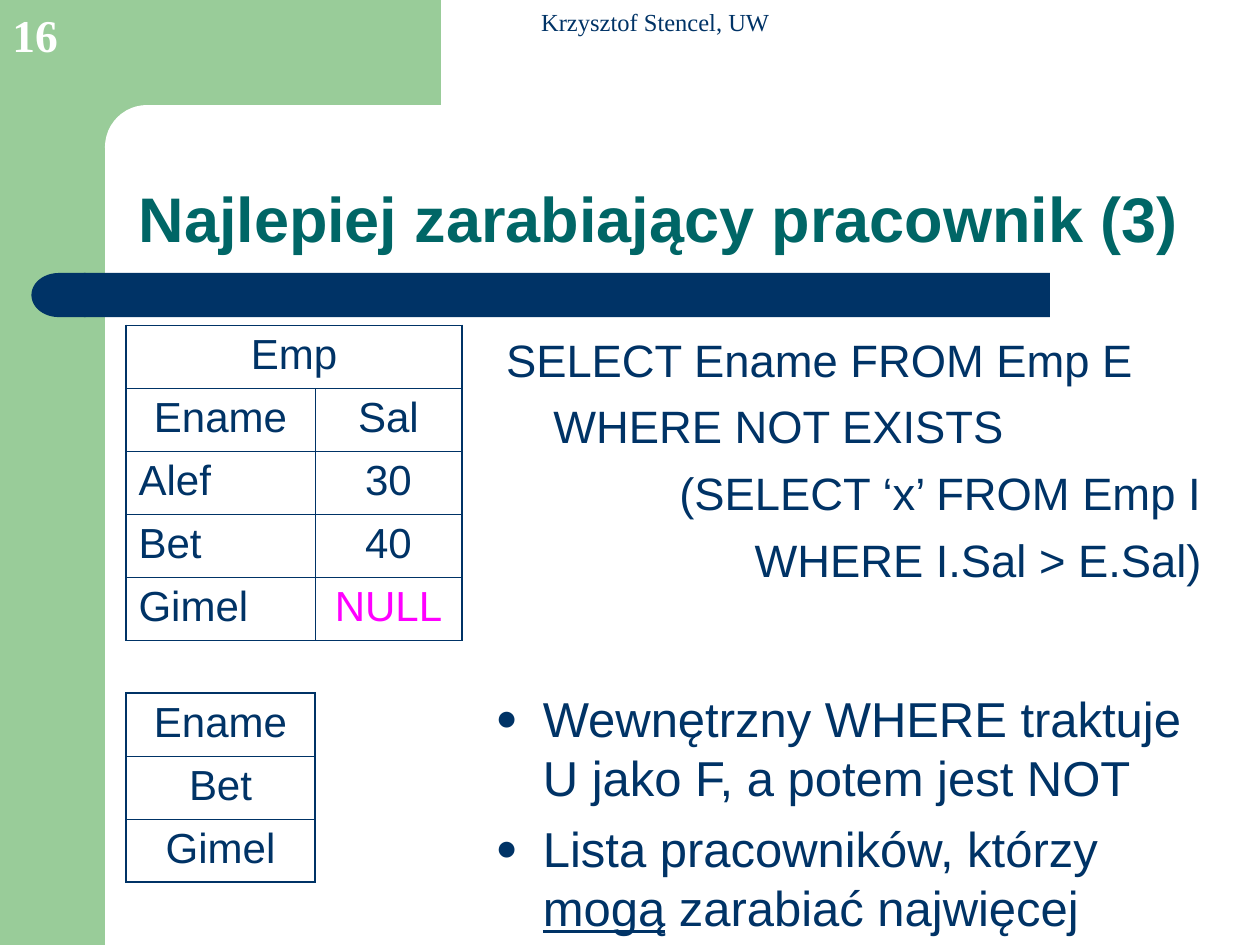
from lxml import etree
from pptx import Presentation
from pptx.dml.color import RGBColor
from pptx.enum.shapes import MSO_SHAPE
from pptx.enum.text import MSO_ANCHOR, MSO_AUTO_SIZE, PP_ALIGN
from pptx.oxml.ns import qn
from pptx.util import Pt

RECT = MSO_SHAPE.RECTANGLE
ROUNDED = MSO_SHAPE.ROUNDED_RECTANGLE
DELAY = MSO_SHAPE.FLOWCHART_DELAY
LEFT, CENTER = PP_ALIGN.LEFT, PP_ALIGN.CENTER
TOP, BOTTOM = MSO_ANCHOR.TOP, MSO_ANCHOR.BOTTOM
NO_AUTOFIT = MSO_AUTO_SIZE.NONE

COLORS = {
    "green": "99CC99",
    "white": "FFFFFF",
    "navy": "003366",
    "teal": "006666",
    "magenta": "FF00FF",
}
SANS, SERIF = "Arial", "Times New Roman"
OUTER_LINE, INNER_LINE = 1.08, 0.45
ROW_HEIGHT = 36
HANGING = 27


def rgb(name):
    return RGBColor.from_string(COLORS[name])


def format_runs(paragraph, size, color="navy", font=SANS, bold=False):
    for run in paragraph.runs:
        run.font.name = font
        run.font.size = Pt(size)
        run.font.bold = bold
        run.font.color.rgb = rgb(color)


def place(shape, left, top, width, height, anchor=TOP):
    shape.left, shape.top = Pt(left), Pt(top)
    shape.width, shape.height = Pt(width), Pt(height)
    frame = shape.text_frame
    frame.word_wrap = True
    frame.auto_size = NO_AUTOFIT
    frame.vertical_anchor = anchor
    return frame


def set_indent(paragraph, left, first=0):
    props = paragraph._p.get_or_add_pPr()
    props.set("marL", str(Pt(left)))
    props.set("indent", str(Pt(first)))
    return props


def add_block(slide, kind, color, left, top, width, height):
    block = slide.shapes.add_shape(kind, Pt(left), Pt(top), Pt(width), Pt(height))
    block.shadow.inherit = False
    block.fill.solid()
    block.fill.fore_color.rgb = rgb(color)
    block.line.fill.background()
    return block


def add_backdrop(slide):
    add_block(slide, RECT, "green", 0, 0, 60, 540)
    add_block(slide, RECT, "green", 54, 0, 198, 84)
    corner = add_block(slide, ROUNDED, "white", 60, 60, 402, 48)
    corner.adjustments[0] = 0.5
    add_block(slide, RECT, "navy", 48, 156, 552, 25.2)
    cap = add_block(slide, DELAY, "navy", 18, 156, 31, 25.2)
    cap._element.spPr.xfrm.set("flipH", "1")


def fill_title(title, text):
    frame = place(title, 72, 60, 630, 90, BOTTOM)
    frame.text = text
    heading = frame.paragraphs[0]
    heading.alignment = LEFT
    heading.line_spacing = 0.9
    format_runs(heading, 36, "teal", bold=True)


def fill_query(body, lines):
    frame = place(body, 282, 186, 420, 174)
    frame.text = "\n".join(text for text, _ in lines)
    for paragraph, (_, indent) in zip(frame.paragraphs, lines):
        paragraph.space_before = Pt(7)
        etree.SubElement(set_indent(paragraph, indent), qn("a:buNone"))
        format_runs(paragraph, 25.9)


def add_bullet(paragraph):
    props = set_indent(paragraph, HANGING, -HANGING)
    color = etree.SubElement(props, qn("a:buClr"))
    etree.SubElement(color, qn("a:srgbClr"), val=COLORS["navy"])
    etree.SubElement(props, qn("a:buSzPct"), val="75000")
    etree.SubElement(props, qn("a:buFont"), typeface=SANS)
    etree.SubElement(props, qn("a:buChar"), char="●")


def fill_remarks(body, remarks, underlined):
    frame = place(body, 276, 390, 420, 150)
    for index, pieces in enumerate(remarks):
        paragraph = frame.paragraphs[0] if index == 0 else frame.add_paragraph()
        paragraph.space_before = Pt(7)
        add_bullet(paragraph)
        for piece in pieces:
            run = paragraph.add_run()
            run.text = piece
            run.font.underline = piece == underlined
        format_runs(paragraph, 28)


def set_borders(cell, widths):
    props = cell._tc.get_or_add_tcPr()
    for position, (side, width) in enumerate(widths.items()):
        line = etree.Element(qn(f"a:ln{side}"), w=str(Pt(width)))
        fill = etree.SubElement(line, qn("a:solidFill"))
        etree.SubElement(fill, qn("a:srgbClr"), val=COLORS["navy"])
        props.insert(position, line)


def add_relation(slide, top, widths, rows, left_aligned=(), heading=False):
    row_count, column_count = len(rows), len(widths)
    table = slide.shapes.add_table(
        row_count, column_count, Pt(72), Pt(top), Pt(sum(widths)), Pt(ROW_HEIGHT * row_count)
    ).table
    table.first_row = table.horz_banding = False
    for column, width in zip(table.columns, widths):
        column.width = Pt(width)
    if heading:
        table.cell(0, 0).merge(table.cell(0, column_count - 1))
    for r, values in enumerate(rows):
        for c, value in enumerate(values):
            cell = table.cell(r, c)
            cell.fill.background()
            at_edge = {
                "L": c == 0,
                "R": c + cell.span_width == column_count,
                "T": r == 0,
                "B": r == row_count - 1,
            }
            set_borders(cell, {s: OUTER_LINE if e else INNER_LINE for s, e in at_edge.items()})
            if cell.is_spanned:
                continue
            cell.text_frame.text = value
            paragraph = cell.text_frame.paragraphs[0]
            paragraph.alignment = LEFT if value in left_aligned else CENTER
            paragraph.space_before = Pt(6)
            format_runs(paragraph, 24, "magenta" if value == "NULL" else "navy")


def add_label(slide, text, box, size, color, align=LEFT, indent=0, bold=False):
    label = slide.shapes.add_textbox(0, 0, 0, 0)
    frame = place(label, *box, BOTTOM)
    frame.text = text
    paragraph = frame.paragraphs[0]
    paragraph.alignment = align
    set_indent(paragraph, indent)
    format_runs(paragraph, size, color, SERIF, bold)


def main():
    deck = Presentation()
    deck.slide_width, deck.slide_height = Pt(720), Pt(540)
    slide = deck.slides.add_slide(deck.slide_layouts[3])
    title, query, remarks = slide.placeholders

    add_backdrop(slide)
    for placeholder in (title, query, remarks):
        slide.shapes._spTree.append(placeholder._element)

    fill_title(title, "Najlepiej zarabiający pracownik (3)")
    fill_query(query, [
        ("SELECT Ename FROM Emp E", 0),
        ("WHERE NOT EXISTS", 27),
        ("(SELECT ‘x’ FROM Emp I", 99),
        ("WHERE I.Sal > E.Sal)", 142),
    ])
    add_relation(
        slide, 186, [108, 84],
        [("Emp", ""), ("Ename", "Sal"), ("Alef", "30"), ("Bet", "40"), ("Gimel", "NULL")],
        left_aligned=("Alef", "Bet", "Gimel"), heading=True,
    )
    add_relation(slide, 396, [108], [("Ename",), ("Bet",), ("Gimel",)])
    fill_remarks(remarks, [
        ("Wewnętrzny WHERE traktuje U jako F, a potem jest NOT",),
        ("Lista pracowników, którzy ", "mogą", " zarabiać najwięcej"),
    ], underlined="mogą")
    add_label(slide, "Krzysztof Stencel, UW", (252, 0, 228, 24.5), 14, "navy", CENTER, 17)
    add_label(slide, "16", (0, 0, 46, 39), 26, "white", bold=True)
    deck.save("out.pptx")


if __name__ == "__main__":
    main()
